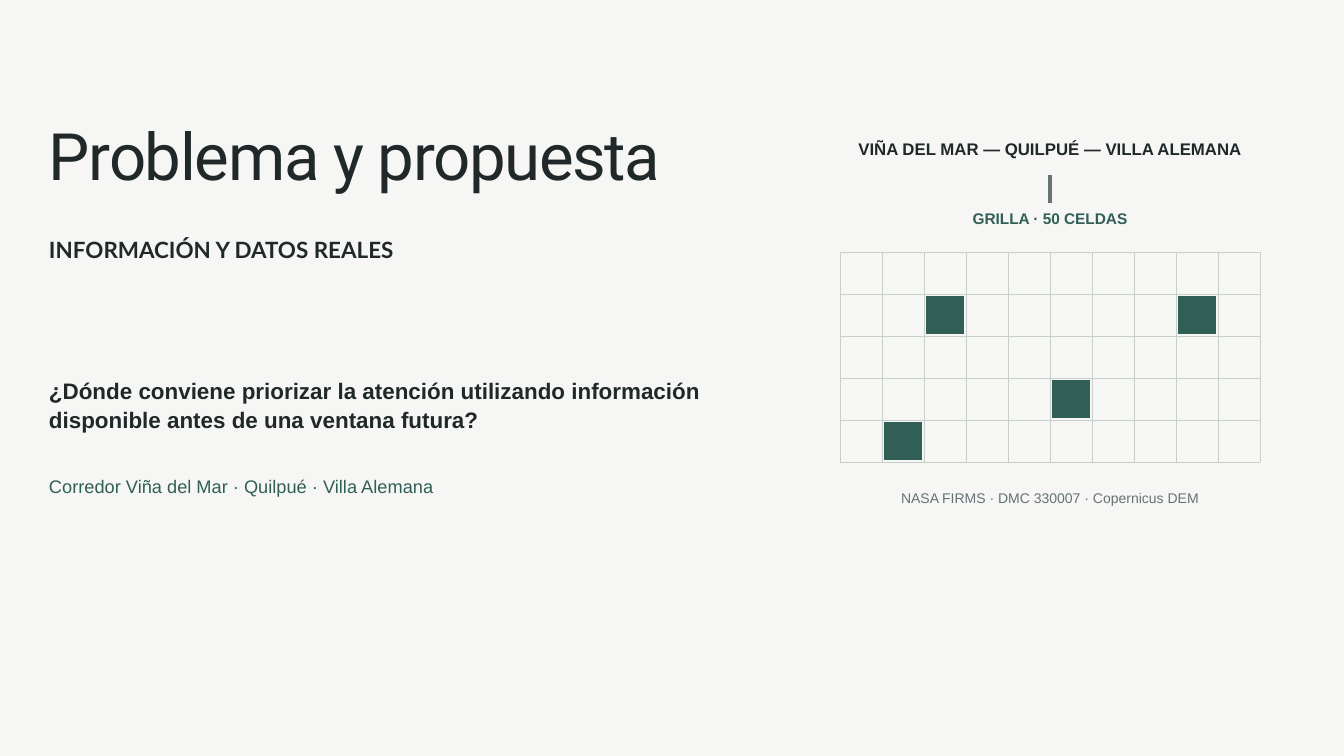
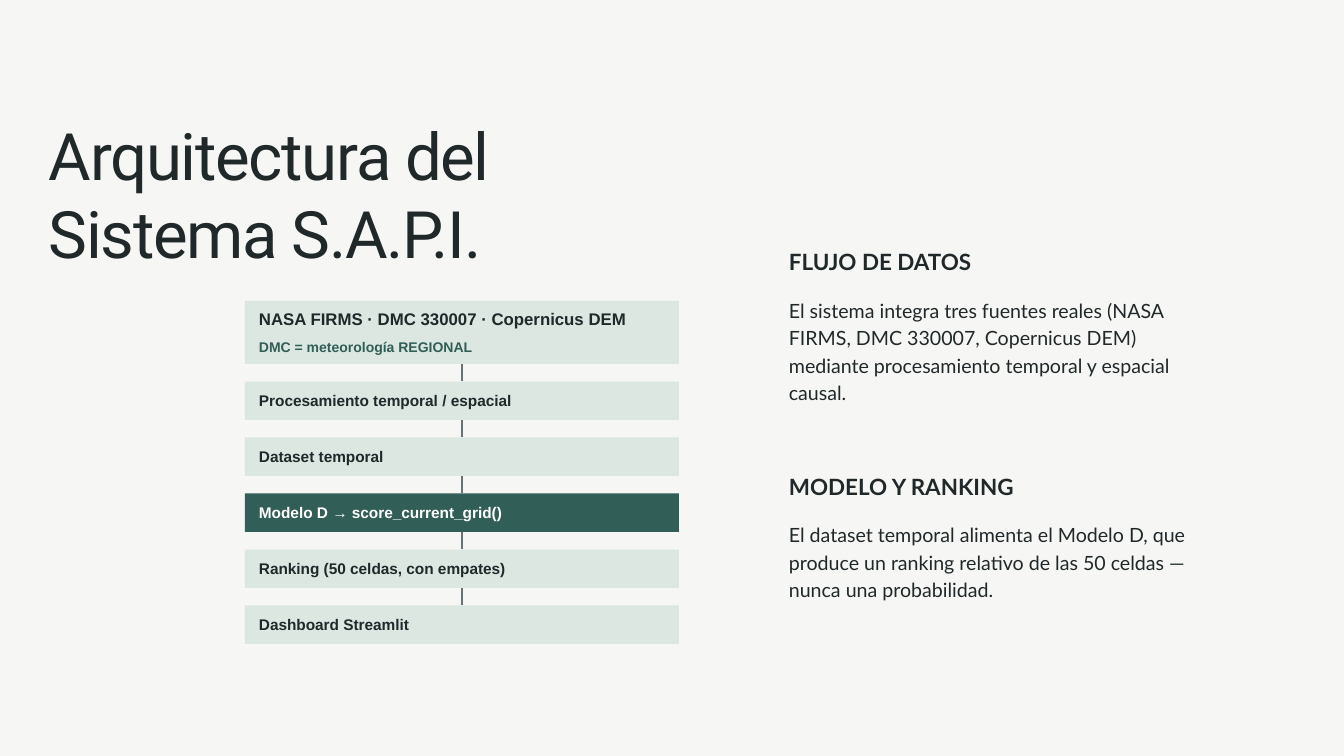
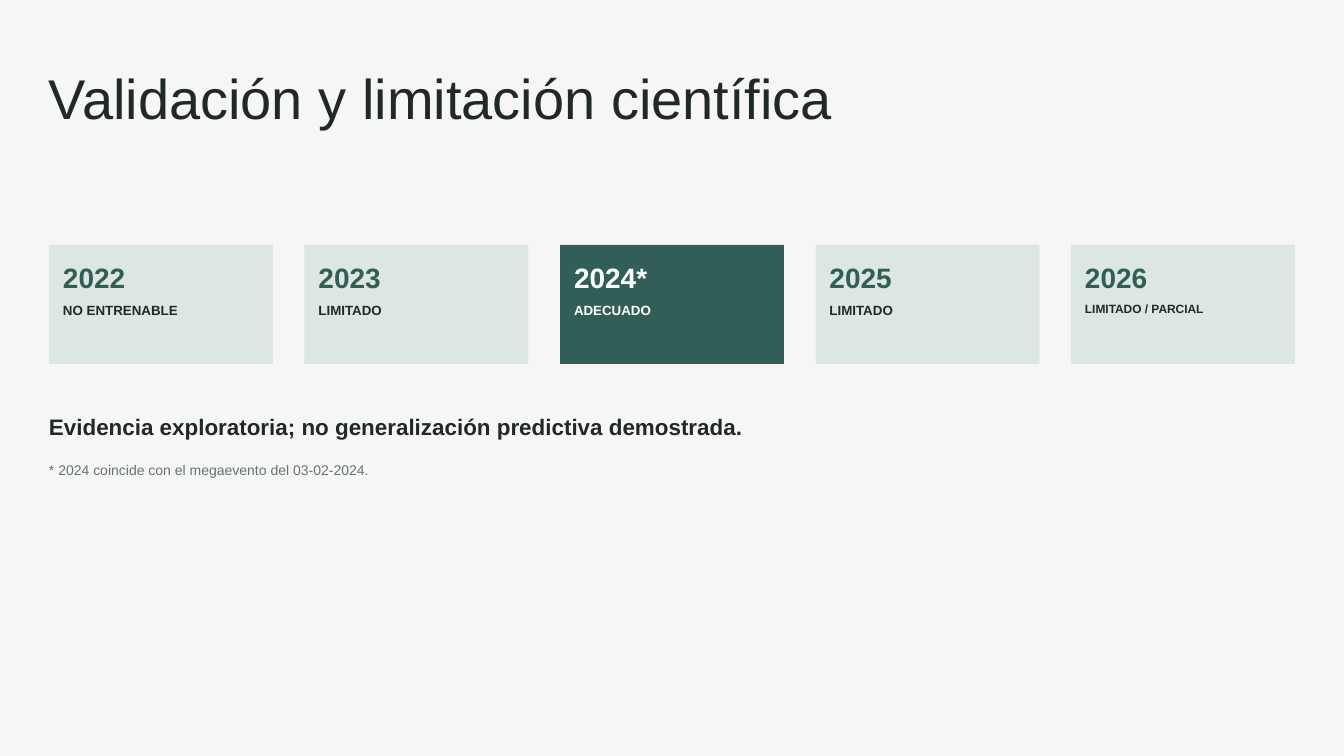
from lxml import etree
from pptx import Presentation
from pptx.dml.color import RGBColor
from pptx.enum.shapes import MSO_CONNECTOR, MSO_SHAPE
from pptx.enum.text import MSO_ANCHOR, MSO_AUTO_SIZE, PP_ALIGN
from pptx.oxml.ns import qn
from pptx.util import Inches, Pt

RECT = MSO_SHAPE.RECTANGLE
STRAIGHT = MSO_CONNECTOR.STRAIGHT
TOP = MSO_ANCHOR.TOP
GROW = MSO_AUTO_SIZE.SHAPE_TO_FIT_TEXT
LEFT, CENTER = PP_ALIGN.LEFT, PP_ALIGN.CENTER

# The slide is a grid of 1920 columns and 1080 rows.
SLIDE_W, SLIDE_H = Inches(20), Inches(11.25)
COLS = 1920
MARGIN = 70
CONTENT_W = COLS - 2 * MARGIN

PAPER, INK, GREEN = "F6F7F4", "20282A", "315E56"
MINT, GREY, RULE, WHITE = "DCE7E2", "667276", "C7CFCB", "FFFFFF"
SOURCES = "NASA FIRMS · DMC 330007 · Copernicus DEM"


def grid(units):
    return round(SLIDE_W * units / COLS)


def rgb(value):
    return RGBColor.from_string(value)


def write(p, text, size, color=INK, bold=False, font="Arial", leading=1.4,
          align=LEFT, before=0):
    """Fill a paragraph; leading is the line pitch as a multiple of the size."""
    r = p.add_run()
    r.text = text
    p.alignment = align
    p.line_spacing = Pt(size * leading)
    p.space_before = Pt(before)
    p.font.size, p.font.bold, p.font.name = Pt(size), bold, font
    p.font.color.rgb = rgb(color)
    return r


def set_frame(tf, left=0, top=0):
    tf.word_wrap = True
    tf.vertical_anchor = TOP
    tf.margin_left = tf.margin_right = grid(left)
    tf.margin_top, tf.margin_bottom = grid(top), 0


def add_text(s, x, y, w, h, text, size, **style):
    tf = s.shapes.add_textbox(grid(x), grid(y), grid(w), grid(h)).text_frame
    set_frame(tf)
    tf.auto_size = GROW
    return write(tf.paragraphs[0], text, size, **style)


def add_title(s, text, w, h):
    r = add_text(s, MARGIN, 164, w, h, text, 70, font="Roboto", leading=1.2)
    r._r.get_or_add_rPr().set("spc", "-140")


def add_heading(s, x, y, w, text):
    add_text(s, x, y, w, 41, text, 24, font="Lato", bold=True)


def add_box(s, x, y, w, h, fill):
    sp = s.shapes.add_shape(RECT, grid(x), grid(y), grid(w), grid(h))
    sp.shadow.inherit = False
    sp.fill.solid()
    sp.fill.fore_color.rgb = rgb(fill)
    sp.line.fill.background()
    return sp


def add_label_box(s, x, y, w, h, fill, top, lines, gap):
    """Box with left-aligned bold lines, each (text, size, color)."""
    sp = add_box(s, x, y, w, h, fill)
    tf = sp.text_frame
    set_frame(tf, 20, top)
    for i, (text, size, color) in enumerate(lines):
        p = tf.add_paragraph() if i else tf.paragraphs[0]
        write(p, text, size, color=color, bold=True, before=gap if i else 0)
    return sp


def add_line(s, x1, y1, x2, y2, color, width):
    line = s.shapes.add_connector(STRAIGHT, grid(x1), grid(y1), grid(x2), grid(y2))
    line.line.color.rgb = rgb(color)
    line.line.width = Pt(width)
    etree.SubElement(line._element.spPr, qn("a:effectLst"))
    return line


def add_cell_grid(s, x, y, cols, rows, cell, marked):
    """Ruled grid with the marked (column, row) cells filled."""
    half, inset = 1, 3
    for col in range(cols + 1):
        cx = x + col * cell + half
        add_line(s, cx, y, cx, y + rows * cell, RULE, 1.5)
    for row in range(rows + 1):
        cy = y + row * cell + half
        add_line(s, x, cy, x + cols * cell, cy, RULE, 1.5)
    for col, row in marked:
        add_box(s, x + col * cell + inset, y + row * cell + inset,
                cell - 2 * inset, cell - 2 * inset, GREEN)


def add_flow(s, x, y, w, gap, steps):
    """Stack of boxes joined downwards; a step is (height, fill, top, lines)."""
    above = None
    for h, fill, top, lines in steps:
        sp = add_label_box(s, x, y, w, h, fill, top, lines, gap=8)
        if above is not None:
            line = add_line(s, x + w / 2, y - gap, x + w / 2, y, GREY, 3)
            line.begin_connect(above, 2)
            line.end_connect(sp, 0)
        above = sp
        y += h + gap


def build_problem(s):
    add_title(s, "Problema y propuesta", 1025, 112)
    add_heading(s, MARGIN, 331, 1025, "INFORMACIÓN Y DATOS REALES")
    add_text(s, MARGIN, 536, 1025, 83,
             "¿Dónde conviene priorizar la atención utilizando información "
             "disponible antes de una ventana futura?", 24, bold=True, leading=1.3)
    add_text(s, MARGIN, 674, 1025, 36,
             "Corredor Viña del Mar · Quilpué · Villa Alemana", 19.5, color=GREEN)

    for y, h, text, size, color, bold in (
            (194, 35, "VIÑA DEL MAR — QUILPUÉ — VILLA ALEMANA", 18, INK, True),
            (294, 32, "GRILLA · 50 CELDAS", 16.5, GREEN, True),
            (695, 29, SOURCES, 15, GREY, False)):
        add_text(s, 1150, y, 700, h, text, size, color=color, bold=bold, align=CENTER)
    add_line(s, 1500, 250, 1500, 290, GREY, 4.5)
    add_cell_grid(s, 1200, 360, 10, 5, 60, [(2, 1), (8, 1), (5, 3), (1, 4)])


def build_architecture(s):
    add_title(s, "Arquitectura del Sistema S.A.P.I.", 874, 222)
    for y, h, heading, body in (
            (348.5, 153, "FLUJO DE DATOS",
             "El sistema integra tres fuentes reales (NASA FIRMS, DMC 330007, "
             "Copernicus DEM) mediante procesamiento temporal y espacial causal."),
            (669, 114, "MODELO Y RANKING",
             "El dataset temporal alimenta el Modelo D, que produce un ranking "
             "relativo de las 50 celdas — nunca una probabilidad.")):
        add_heading(s, 1127, y, 572, heading)
        add_text(s, 1127, y + 73, 572, h, body, 21, font="Lato")

    steps = [(90, MINT, 6, [(SOURCES, 18, INK),
                            ("DMC = meteorología REGIONAL", 15, GREEN)])]
    for text, fill, color in (
            ("Procesamiento temporal / espacial", MINT, INK),
            ("Dataset temporal", MINT, INK),
            ("Modelo D → score_current_grid()", GREEN, WHITE),
            ("Ranking (50 celdas, con empates)", MINT, INK),
            ("Dashboard Streamlit", MINT, INK)):
        steps.append((55, fill, 9, [(text, 16.5, color)]))
    add_flow(s, 350, 430, 620, 25, steps)


def build_validation(s):
    add_text(s, MARGIN, 75, CONTENT_W, 112, "Validación y limitación científica", 60)
    years = (("2022", "NO ENTRENABLE", 14.25), ("2023", "LIMITADO", 14.25),
             ("2024*", "ADECUADO", 14.25), ("2025", "LIMITADO", 14.25),
             ("2026", "LIMITADO / PARCIAL", 12.75))
    card_w = 320
    pitch = (CONTENT_W - card_w) / (len(years) - 1)
    for i, (year, status, size) in enumerate(years):
        fill, year_color, status_color = (
            (GREEN, WHITE, WHITE) if status == "ADECUADO" else (MINT, GREEN, INK))
        add_label_box(s, MARGIN + i * pitch, 350, card_w, 170, fill, 14,
                      [(year, 30, year_color), (status, size, status_color)], gap=6)
    add_text(s, MARGIN, 584, CONTENT_W, 43,
             "Evidencia exploratoria; no generalización predictiva demostrada.",
             24, bold=True)
    add_text(s, MARGIN, 655, CONTENT_W, 29,
             "* 2024 coincide con el megaevento del 03-02-2024.", 15, color=GREY)


def main():
    prs = Presentation()
    prs.slide_width, prs.slide_height = SLIDE_W, SLIDE_H
    background = prs.slide_master.background.fill
    background.solid()
    background.fore_color.rgb = rgb(PAPER)
    for build in (build_problem, build_architecture, build_validation):
        build(prs.slides.add_slide(prs.slide_layouts[6]))
    prs.save("out.pptx")


if __name__ == "__main__":
    main()
